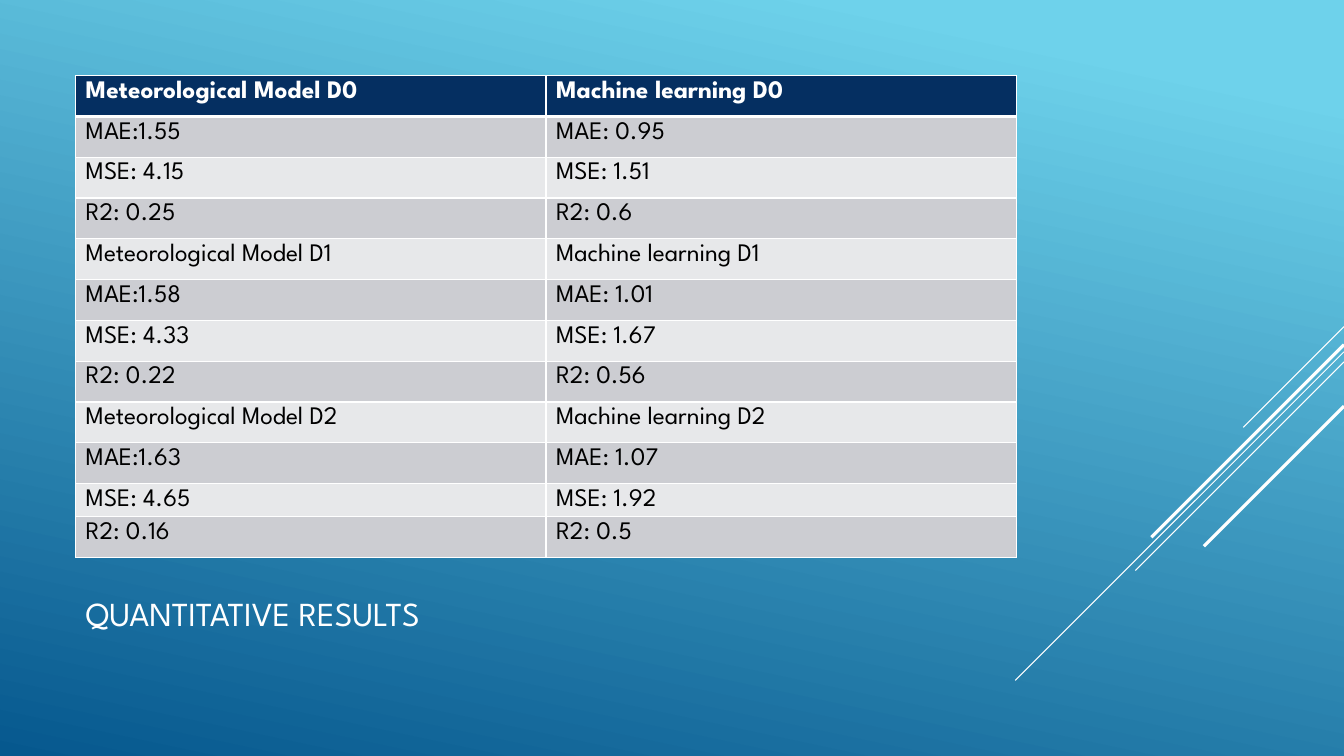
from typing import NamedTuple

from lxml import etree
from pptx import Presentation
from pptx.dml.color import RGBColor
from pptx.enum import shapes, text
from pptx.oxml import ns
from pptx.util import Inches, Pt

FONT = "League Spartan"
WHITE, BLACK, NAVY = "FFFFFF", "000000", "052F61"
BANDS = ("E7E8EA", "CCCDD2")
LEFT, WIDTH = 0.75, 9.33
TABLE_TOP, TABLE_HEIGHT = 0.75, 4.86
SHORT_ROW, SHORT_HEIGHT = 10, 0.22


class Stripe(NamedTuple):
    """A diagonal from the right edge, falling to the left at 45 degrees."""
    top: float
    length: float
    weight: float


class Forecast(NamedTuple):
    day: str
    meteorological: tuple[str, str, str]
    learned: tuple[str, str, str]


STRIPES = [
    Stripe(3.24, 1.0, 0.75),
    Stripe(3.49, 3.26, 0.75),
    Stripe(3.59, 2.07, 0.75),
    Stripe(3.42, 1.91, 2.25),
    Stripe(4.03, 1.39, 2.25),
]
FORECASTS = [
    Forecast("D0", ("1.55", "4.15", "0.25"), ("0.95", "1.51", "0.6")),
    Forecast("D1", ("1.58", "4.33", "0.22"), ("1.01", "1.67", "0.56")),
    Forecast("D2", ("1.63", "4.65", "0.16"), ("1.07", "1.92", "0.5")),
]
METRICS = (("MAE:", "MAE: "), ("MSE: ", "MSE: "), ("R2: ", "R2: "))


def color(value: str) -> RGBColor:
    return RGBColor.from_string(value)


def format_text(frame, size: float, ink: str, bold: bool = False) -> None:
    for para in frame.paragraphs:
        para.alignment = text.PP_ALIGN.LEFT
        for span in para.runs:
            span.font.name = FONT
            span.font.size = Pt(size)
            span.font.bold = bold
            span.font.color.rgb = color(ink)


def paint_background(page) -> None:
    fill = page.background.fill
    fill.gradient()
    fill.gradient_angle = 258
    stops = ((0.1, "6ED2EB"), (1.0, "06588E"))
    for stop, (position, value) in zip(fill.gradient_stops, stops):
        stop.position = position
        stop.color.rgb = color(value)


def draw_stripe(page, stripe: Stripe, right: float) -> None:
    line = page.shapes.add_connector(
        shapes.MSO_CONNECTOR.STRAIGHT,
        Inches(right), Inches(stripe.top),
        Inches(right - stripe.length), Inches(stripe.top + stripe.length))
    line.line.color.rgb = color(WHITE)
    line.line.width = Pt(stripe.weight)
    etree.SubElement(line._element.spPr, ns.qn("a:effectLst"))


def add_title(page, wording: str) -> None:
    title = page.shapes.title
    title.left, title.top = Inches(LEFT), Inches(5.61)
    title.width, title.height = Inches(WIDTH), Inches(0.94)
    title.text_frame.text = wording
    title.text_frame.vertical_anchor = text.MSO_ANCHOR.MIDDLE
    format_text(title.text_frame, 24, WHITE)


def set_borders(cell, top: float, bottom: float) -> None:
    """Add white cell borders; they must precede the cell's fill."""
    properties = cell._tc.get_or_add_tcPr()
    for side, weight in (("L", 1), ("R", 1), ("T", top), ("B", bottom)):
        border = etree.SubElement(properties, ns.qn(f"a:ln{side}"), w=str(Pt(weight)))
        fill = etree.SubElement(border, ns.qn("a:solidFill"))
        etree.SubElement(fill, ns.qn("a:srgbClr"), val=WHITE)


def result_rows() -> list[tuple[str, str]]:
    rows = []
    for forecast in FORECASTS:
        rows.append((f"Meteorological Model {forecast.day}",
                     f"Machine learning {forecast.day}"))
        for labels, *values in zip(METRICS, forecast.meteorological, forecast.learned):
            rows.append((labels[0] + values[0], labels[1] + values[1]))
    return rows


def add_results(page) -> None:
    rows = result_rows()
    table = page.shapes.add_table(
        len(rows), 2, Inches(LEFT), Inches(TABLE_TOP),
        Inches(WIDTH), Inches(TABLE_HEIGHT)).table
    table.rows[SHORT_ROW].height = Inches(SHORT_HEIGHT)
    for index, row in enumerate(rows):
        header = index == 0
        for column, wording in enumerate(row):
            cell = table.cell(index, column)
            set_borders(cell, 3 if index == 1 else 1, 3 if header else 1)
            cell.fill.solid()
            cell.fill.fore_color.rgb = color(NAVY if header else BANDS[index % 2])
            cell.text_frame.text = wording
            format_text(cell.text_frame, 18, WHITE if header else BLACK, header)


def main() -> None:
    deck = Presentation()
    deck.slide_width, deck.slide_height = Inches(13.33), Inches(7.5)
    page = deck.slides.add_slide(deck.slide_layouts[5])
    paint_background(page)
    for stripe in STRIPES:
        draw_stripe(page, stripe, 13.33)
    add_title(page, "QUANTITATIVE RESULTS")
    add_results(page)
    deck.save("out.pptx")


if __name__ == "__main__":
    main()
